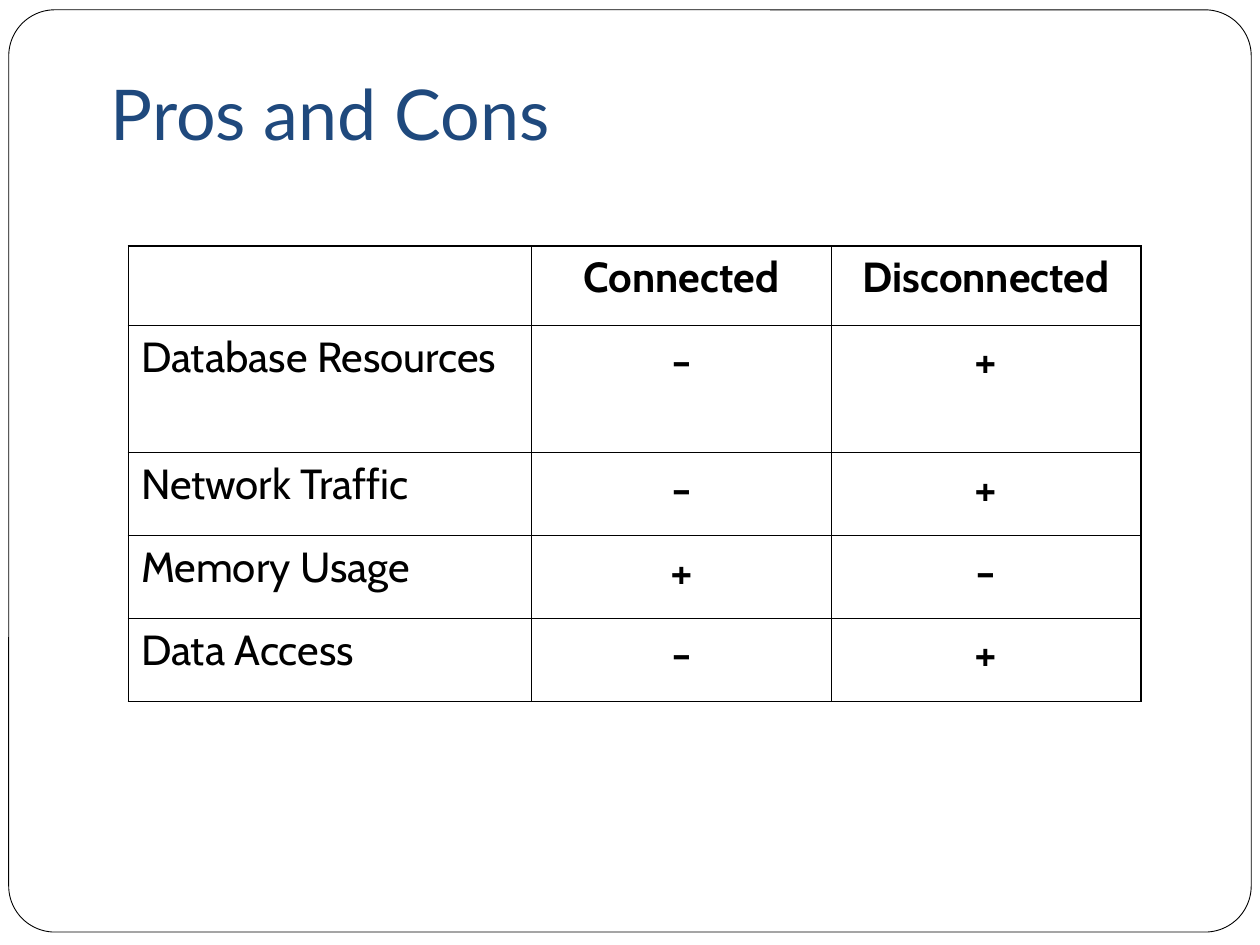
from dataclasses import dataclass

from lxml import etree
from pptx import Presentation
from pptx.dml.color import RGBColor
from pptx.enum.shapes import MSO_SHAPE
from pptx.enum.text import MSO_ANCHOR, PP_ALIGN
from pptx.oxml.ns import qn
from pptx.util import Pt

ROUNDED = MSO_SHAPE.ROUNDED_RECTANGLE
BOTTOM = MSO_ANCHOR.BOTTOM
LEFT, CENTER = PP_ALIGN.LEFT, PP_ALIGN.CENTER


@dataclass(frozen=True)
class Theme:
    paper: str = "FFFFFF"
    ink: str = "000000"
    heading: str = "1F497D"
    heading_font: str = "Lato"
    body_font: str = "Cabin"
    heading_size: float = 40
    label_size: float = 24
    mark_size: float = 28
    frame_line: float = 0.5
    inner_line: float = 0.45
    outer_line: float = 1.08


THEME = Theme()

COMPARISON = [
    ["", "Connected", "Disconnected"],
    ["Database Resources", "-", "+"],
    ["Network Traffic", "-", "+"],
    ["Memory Usage", "+", "-"],
    ["Data Access", "-", "+"],
]
COLUMN_WIDTHS = [230.4, 171.2, 177.1]
ROW_HEIGHTS = [45.3, 72.7, 47.4, 47.4, 47.4]


def style_text(paragraph, font_name, size, color, bold=False, align=LEFT):
    paragraph.alignment = align
    for run in paragraph.runs:
        run.font.name = font_name
        run.font.size = Pt(size)
        run.font.bold = bold
        run.font.color.rgb = RGBColor.from_string(color)


def add_frame(slide):
    frame = slide.shapes.add_shape(ROUNDED, Pt(5), Pt(5.6), Pt(710), Pt(527))
    frame.adjustments[0] = 0.05
    frame.shadow.inherit = False
    frame.fill.solid()
    frame.fill.fore_color.rgb = RGBColor.from_string(THEME.paper)
    frame.line.color.rgb = RGBColor.from_string(THEME.ink)
    frame.line.width = Pt(THEME.frame_line)


def add_title(slide, wording):
    title = slide.shapes.add_textbox(Pt(56.2), Pt(28), Pt(613.4), Pt(67.7))
    text_frame = title.text_frame
    text_frame.word_wrap = True
    text_frame.vertical_anchor = BOTTOM
    text_frame.margin_bottom = Pt(7.2)
    text_frame.text = wording
    style_text(text_frame.paragraphs[0], THEME.heading_font,
               THEME.heading_size, THEME.heading)


def set_borders(cell, outer_sides):
    """Draw thick lines on the table's outer sides, thin ones elsewhere."""
    properties = cell._tc.get_or_add_tcPr()
    for position, side in enumerate("LRTB"):
        width = THEME.outer_line if outer_sides[side] else THEME.inner_line
        border = etree.Element(qn(f"a:ln{side}"), w=str(int(Pt(width))))
        fill = etree.SubElement(border, qn("a:solidFill"))
        etree.SubElement(fill, qn("a:srgbClr"), val=THEME.ink)
        properties.insert(position, border)


def add_comparison(slide):
    row_count, column_count = len(ROW_HEIGHTS), len(COLUMN_WIDTHS)
    comparison = slide.shapes.add_table(
        row_count, column_count, Pt(73.4), Pt(140.6),
        Pt(sum(COLUMN_WIDTHS)), Pt(sum(ROW_HEIGHTS))).table
    for column, width in zip(comparison.columns, COLUMN_WIDTHS):
        column.width = Pt(width)
    for row, height in zip(comparison.rows, ROW_HEIGHTS):
        row.height = Pt(height)

    for r, wordings in enumerate(COMPARISON):
        for c, wording in enumerate(wordings):
            cell = comparison.cell(r, c)
            cell.fill.background()
            cell.text = wording
            is_mark = r > 0 and c > 0
            style_text(cell.text_frame.paragraphs[0], THEME.body_font,
                       THEME.mark_size if is_mark else THEME.label_size,
                       THEME.ink, bold=r == 0, align=CENTER if c else LEFT)
            set_borders(cell, {"L": c == 0, "R": c == column_count - 1,
                               "T": r == 0, "B": r == row_count - 1})


def main():
    presentation = Presentation()
    presentation.slide_width, presentation.slide_height = Pt(720), Pt(540)
    slide = presentation.slides.add_slide(presentation.slide_layouts[6])

    # Page frame and heading
    add_frame(slide)
    add_title(slide, "Pros and Cons")

    # Connected versus disconnected
    add_comparison(slide)

    presentation.save("out.pptx")


if __name__ == "__main__":
    main()
